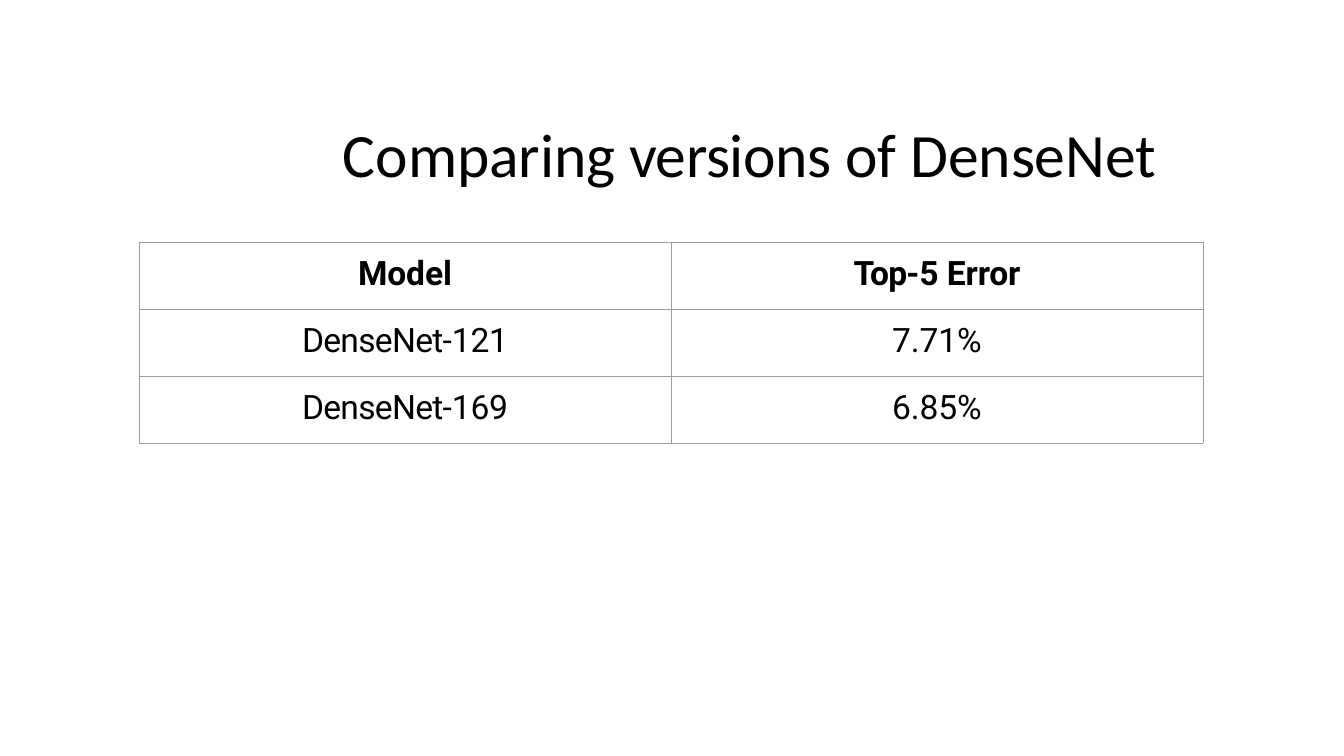
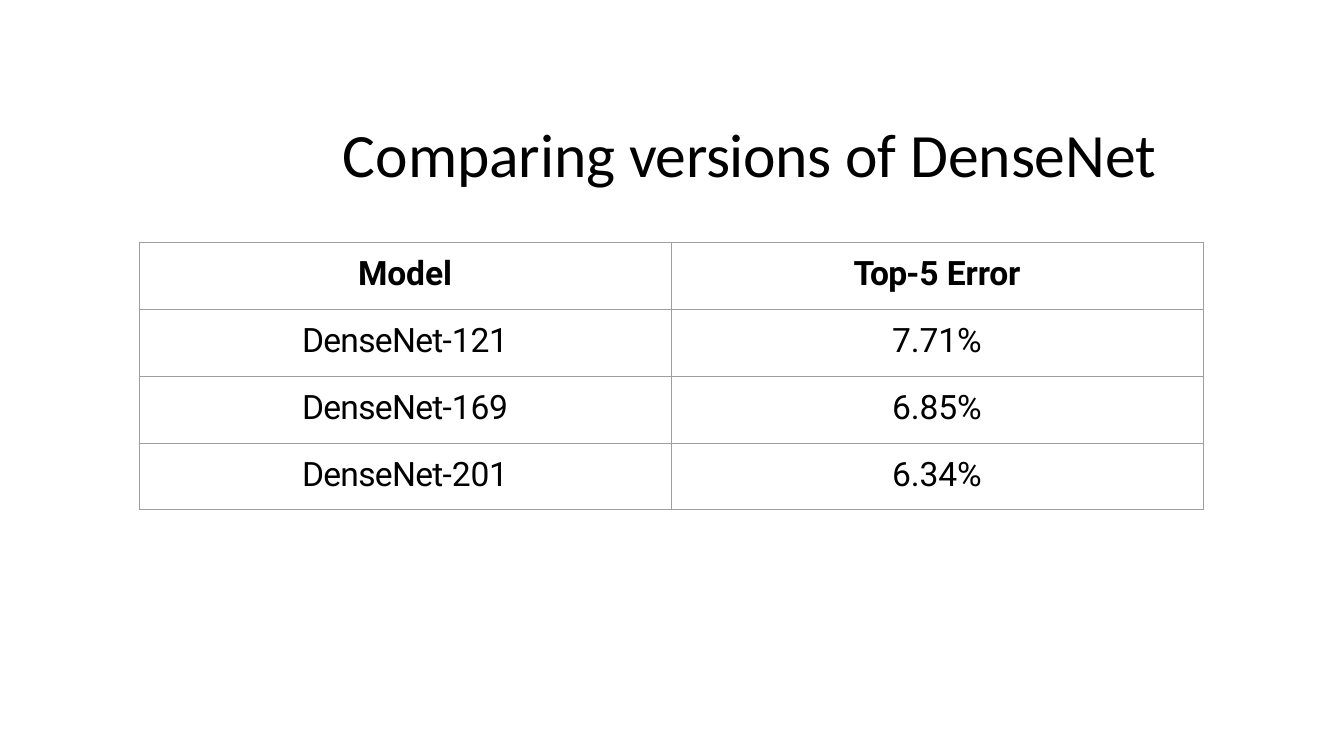
from lxml import etree
from pptx import Presentation
from pptx.dml.color import RGBColor as RGB
from pptx.enum.text import MSO_ANCHOR as ANCHOR, MSO_AUTO_SIZE as AUTO, PP_ALIGN as ALIGN
from pptx.oxml.ns import qn
from pptx.util import Pt

EMU_PER_INCH, PX_PER_INCH = 914400, 100.8
COLORS = {"text": "000000", "border": "9E9E9E"}

# Each text is a list of (words, letter spacing in points)
TITLE = [("Comparing ", -0.1), ("versions ", -0.3), ("of ", 0), ("DenseNet", -0.1)]
HEADER = [[("Model", -0.1)], [("Top-", -0.6), ("5", 0), (" Error", -0.1)]]
ERRORS = [("121", "7.71%"), ("169", "6.85%"), ("201", "6.34%")]


def px(n):
    return round(n * EMU_PER_INCH / PX_PER_INCH)


class Deck:
    title_font, title_size = "Calibri", 44
    table_font, table_size = "Roboto", 24

    def __init__(self):
        self.prs = Presentation()
        self.prs.slide_width, self.prs.slide_height = px(1344), px(756)
        self.s = None

    def slide(self):
        self.s = self.prs.slides.add_slide(self.prs.slide_layouts[5])

    def add_runs(self, tf, runs, font, size, align, bold=False):
        p = tf.paragraphs[0]
        p.alignment = align
        for words, spacing in runs:
            r = p.add_run()
            r.text = words
            r.font.name, r.font.size, r.font.bold = font, Pt(size), bold
            r.font.color.rgb = RGB.from_string(COLORS["text"])
            r._r.get_or_add_rPr().set("spc", str(round(spacing * 100)))

    def title(self, runs):
        sp = self.s.shapes.title
        sp.left, sp.top, sp.width, sp.height = px(123), px(113), px(1545), px(77)
        tf = sp.text_frame
        tf.word_wrap, tf.auto_size = True, AUTO.SHAPE_TO_FIT_TEXT
        tf.vertical_anchor = ANCHOR.MIDDLE
        tf.margin_left, tf.margin_top = px(220), px(2)
        tf.margin_right = tf.margin_bottom = 0
        self.add_runs(tf, runs, self.title_font, self.title_size, ALIGN.LEFT)

    def borders(self, cell):
        tc_pr = cell._tc.get_or_add_tcPr()
        for side in ("lnL", "lnR", "lnT", "lnB"):
            ln = etree.SubElement(tc_pr, qn(f"a:{side}"), w=str(Pt(0.75)))
            fill = etree.SubElement(ln, qn("a:solidFill"))
            etree.SubElement(fill, qn("a:srgbClr"), val=COLORS["border"])

    def table(self, rows, left=139, top=242, col_width=532, row_height=67):
        cols = len(rows[0])
        table = self.s.shapes.add_table(
            len(rows), cols, px(left), px(top),
            px(cols * col_width), px(len(rows) * row_height)).table
        table.first_row = table.horz_banding = False
        for i, row in enumerate(rows):
            for j, runs in enumerate(row):
                cell = table.cell(i, j)
                cell.margin_left = cell.margin_right = cell.margin_bottom = 0
                cell.margin_top = px(12)
                self.borders(cell)
                cell.fill.background()
                self.add_runs(cell.text_frame, runs, self.table_font,
                              self.table_size, ALIGN.CENTER, bold=i == 0)


def main():
    deck = Deck()
    rows = [[[("DenseNet-", -0.5), (layers, -0.2)], [(error, -0.1)]]
            for layers, error in ERRORS]
    # The second slide adds one more model to the table
    for count in (2, 3):
        deck.slide()
        deck.title(TITLE)
        deck.table([HEADER] + rows[:count])
    deck.prs.save("out.pptx")


if __name__ == "__main__":
    main()
